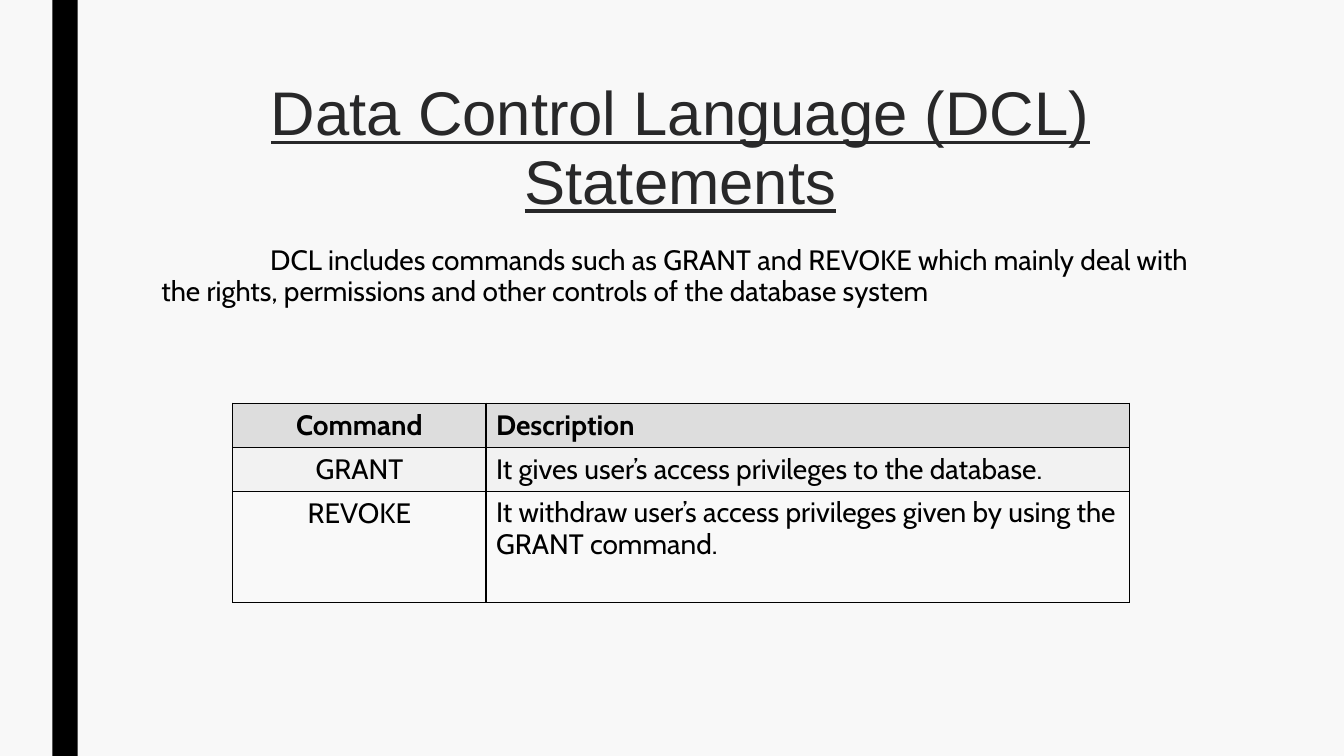
from dataclasses import dataclass

import pptx
import pptx.dml.color
import pptx.enum.shapes
import pptx.enum.text
import pptx.oxml
import pptx.oxml.ns
import pptx.slide
import pptx.table
import pptx.text.text
import pptx.util

RGBColor = pptx.dml.color.RGBColor
Inches = pptx.util.Inches
ALIGN = pptx.enum.text.PP_ALIGN

BACKGROUND = RGBColor(0xF8, 0xF8, 0xF8)
BLACK = RGBColor(0x00, 0x00, 0x00)
TITLE_GREY = RGBColor(0x28, 0x28, 0x29)
HEADER_FILL = RGBColor(0xDD, 0xDD, 0xDD)
ODD_FILL = RGBColor(0xF2, 0xF2, 0xF2)
EVEN_FILL = RGBColor(0xF9, 0xF9, 0xF9)

SLIDE_WIDTH, SLIDE_HEIGHT = 13.33, 7.5
CONTENT_LEFT, CONTENT_WIDTH = 1.5, 10.5
COLUMN_WIDTHS = (2.51, 6.38)
COLUMN_ALIGNMENTS = (ALIGN.CENTER, ALIGN.LEFT)


@dataclass(frozen=True)
class CommandRow:
    command: str
    description: str
    height: float
    fill: RGBColor
    bold: bool = False
    line_spacing: float = 1.0


COMMAND_ROWS = (
    CommandRow("Command", "Description", 0.435, HEADER_FILL, bold=True),
    CommandRow("GRANT", "It gives user’s access privileges to the database.", 0.435, ODD_FILL),
    CommandRow("REVOKE", "It withdraw user’s access privileges given by using the GRANT command.",
               1.1, EVEN_FILL, line_spacing=0.94),
)


def write_text(frame: pptx.text.text.TextFrame, text: str, *, font: str = "Cabin",
               size: float = 20, color: RGBColor = BLACK, bold: bool = False,
               underline: bool = False, alignment: ALIGN = ALIGN.LEFT,
               line_spacing: float = 1.0, first_indent: float = 0) -> None:
    """Fill the frame with one unbulleted paragraph."""
    frame.word_wrap = True
    paragraph = frame.paragraphs[0]
    paragraph.text = text
    properties = paragraph._p.get_or_add_pPr()
    properties.set("marL", "0")
    properties.set("indent", str(Inches(first_indent)))
    pptx.oxml.ns.qn("a:buNone")
    properties.append(pptx.oxml.parse_xml(f'<a:buNone {pptx.oxml.ns.nsdecls("a")}/>'))
    paragraph.alignment = alignment
    paragraph.line_spacing = line_spacing
    paragraph.space_before = pptx.util.Pt(0)
    for run in paragraph.runs:
        run.font.name = font
        run.font.size = pptx.util.Pt(size)
        run.font.color.rgb = color
        run.font.bold = bold
        run.font.underline = underline


def place_placeholder(slide: pptx.slide.Slide, index: int, top: float,
                      height: float) -> pptx.text.text.TextFrame:
    placeholder = slide.placeholders[index]
    placeholder.left, placeholder.top = Inches(CONTENT_LEFT), Inches(top)
    placeholder.width, placeholder.height = Inches(CONTENT_WIDTH), Inches(height)
    frame = placeholder.text_frame
    frame.vertical_anchor = pptx.enum.text.MSO_ANCHOR.TOP
    frame.auto_size = pptx.enum.text.MSO_AUTO_SIZE.NONE
    return frame


def add_side_bar(slide: pptx.slide.Slide) -> None:
    bar = slide.shapes.add_shape(pptx.enum.shapes.MSO_SHAPE.RECTANGLE, Inches(0.52), 0,
                                 Inches(0.25), Inches(SLIDE_HEIGHT))
    bar.shadow.inherit = False
    bar.fill.solid()
    bar.fill.fore_color.rgb = BLACK
    bar.line.fill.background()


def outline_cell(cell: pptx.table._Cell) -> None:
    properties = cell._tc.get_or_add_tcPr()
    for position, side in enumerate(("lnL", "lnR", "lnT", "lnB")):
        properties.insert(position, pptx.oxml.parse_xml(
            f'<a:{side} {pptx.oxml.ns.nsdecls("a")} w="{pptx.util.Pt(1)}">'
            f'<a:solidFill><a:srgbClr val="{BLACK}"/></a:solidFill></a:{side}>'))


def add_command_table(slide: pptx.slide.Slide) -> None:
    table = slide.shapes.add_table(
        len(COMMAND_ROWS), len(COLUMN_WIDTHS), Inches(2.31), Inches(4),
        Inches(sum(COLUMN_WIDTHS)), Inches(sum(row.height for row in COMMAND_ROWS))).table
    table.horz_banding = False
    for column, width in zip(table.columns, COLUMN_WIDTHS):
        column.width = Inches(width)
    for table_row, row in zip(table.rows, COMMAND_ROWS):
        table_row.height = Inches(row.height)
        spacings = (1.0, row.line_spacing)
        for cell, text, alignment, spacing in zip(
                table_row.cells, (row.command, row.description), COLUMN_ALIGNMENTS, spacings):
            cell.fill.solid()
            cell.fill.fore_color.rgb = row.fill
            outline_cell(cell)
            write_text(cell.text_frame, text, bold=row.bold, alignment=alignment,
                       line_spacing=spacing)


def main() -> None:
    presentation = pptx.Presentation()
    presentation.slide_width = Inches(SLIDE_WIDTH)
    presentation.slide_height = Inches(SLIDE_HEIGHT)
    slide = presentation.slides.add_slide(presentation.slide_layouts[1])
    slide.background.fill.solid()
    slide.background.fill.fore_color.rgb = BACKGROUND

    add_side_bar(slide)
    write_text(place_placeholder(slide, 0, 0.75, 1.62),
               "Data Control Language (DCL)\vStatements", font="Arial", size=44,
               color=TITLE_GREY, underline=True, alignment=ALIGN.CENTER, line_spacing=0.93)
    write_text(place_placeholder(slide, 1, 2.38, 4.95),
               "DCL includes commands such as GRANT and REVOKE which mainly deal with the rights, "
               "permissions and other controls of the database system",
               line_spacing=0.94, first_indent=1.08)
    add_command_table(slide)
    presentation.save("out.pptx")


if __name__ == "__main__":
    main()
